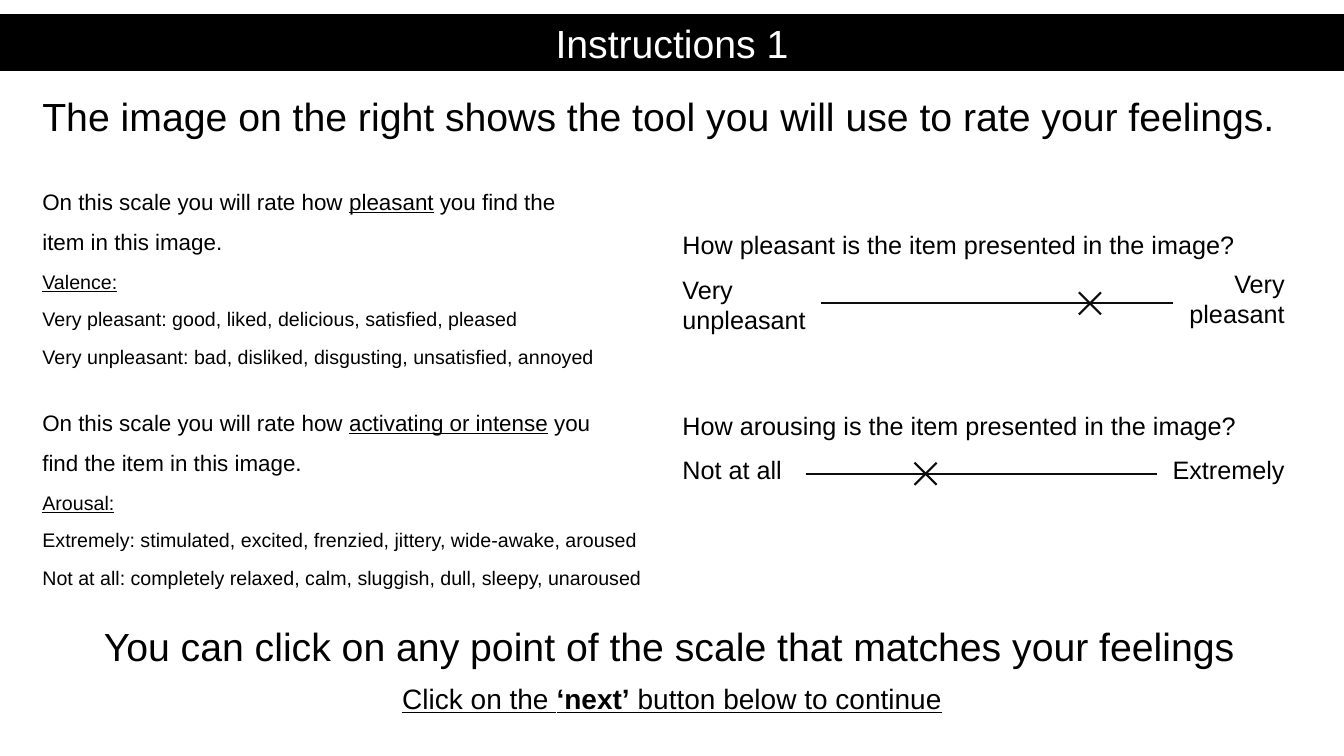
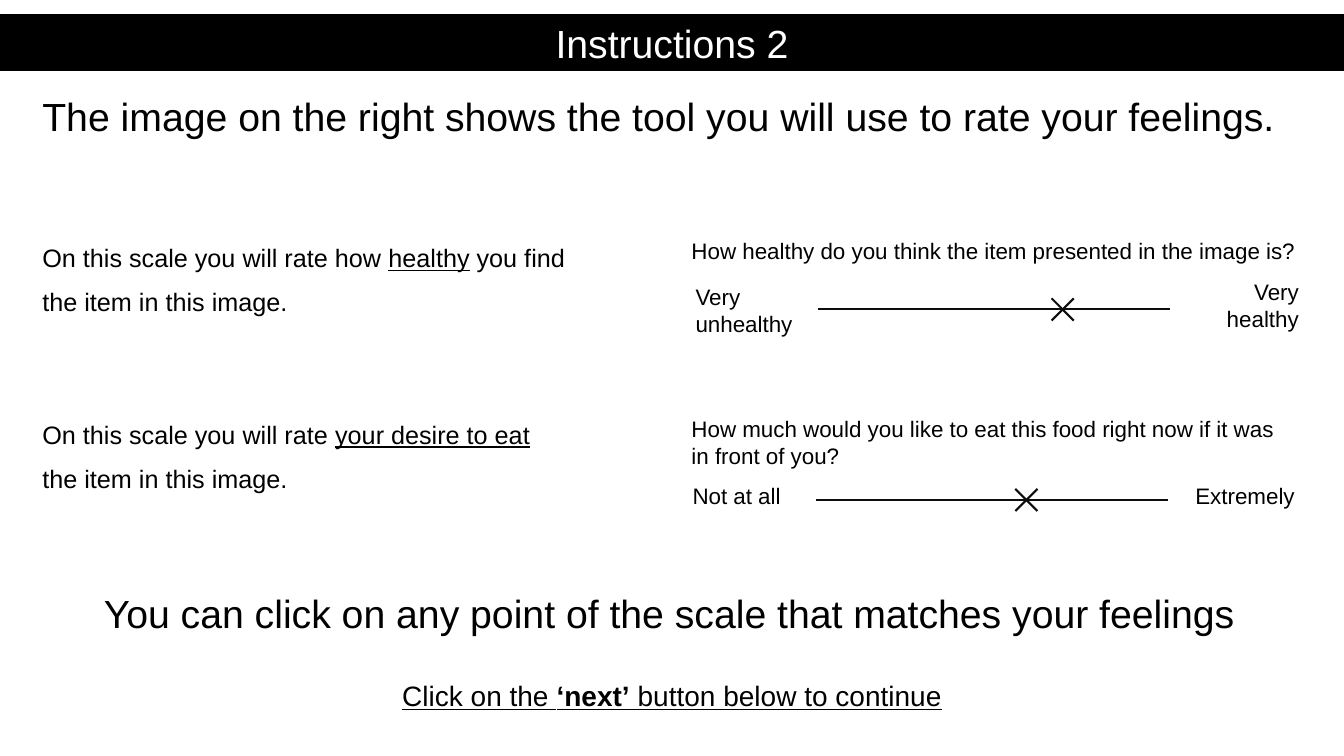
from pptx import Presentation
from pptx.dml.color import RGBColor
from pptx.enum.shapes import MSO_CONNECTOR
from pptx.enum.text import MSO_ANCHOR, MSO_AUTO_SIZE, PP_ALIGN
from pptx.oxml.ns import qn
from pptx.util import Inches, Pt

STRAIGHT = MSO_CONNECTOR.STRAIGHT
TOP, MIDDLE = MSO_ANCHOR.TOP, MSO_ANCHOR.MIDDLE
NO_AUTOFIT = MSO_AUTO_SIZE.NONE
LEFT, CENTER, RIGHT = PP_ALIGN.LEFT, PP_ALIGN.CENTER, PP_ALIGN.RIGHT

FONT = "Arial"
BLACK, WHITE, LINE_COLOR = "000000", "FFFFFF", "0D0D0D"
SLIDE_WIDTH, SLIDE_HEIGHT = 13.33, 7.5
SCALE_LENGTH, CROSS_REACH = 3.49, 0.11

HEADING = "The image on the right shows the tool you will use to rate your feelings."
HINT = "You can click on any point of the scale that matches your feelings"
NEXT_STEP = [("Click on the ", "u"), ("‘next’", "ub"), (" button below to continue", "u")]

SLIDES = [
    {
        "title": "Instructions 1",
        "body_height": 5.06,
        "body": [
            (16, 34, [("On this scale you will rate how ", ""), ("pleasant", "u"), (" you find the", "")]),
            (16, 10, [("item in this image.", "")]),
            (14, 10, [("Valence:", "u")]),
            (14, 10, [("Very pleasant: good, liked, delicious, satisfied, pleased", "")]),
            (14, 10, [("Very unpleasant: bad, disliked, disgusting, unsatisfied, annoyed", "")]),
            (16, 29, [("On this scale you will rate how ", ""), ("activating or intense", "u"), (" you", "")]),
            (16, 10, [("find the item in this image.", "")]),
            (14, 10, [("Arousal:", "u")]),
            (14, 10, [("Extremely: stimulated, excited, frenzied, jittery, wide-awake, aroused", "")]),
            (14, 10, [("Not at all: completely relaxed, calm, sluggish, dull, sleepy, unaroused", "")]),
        ],
        "scale_size": 18,
        "scales": [
            {
                "question": ("How pleasant is the item presented in the image?", (6.67, 2.23, 6.11, 0.4)),
                "low": (["Very unpleasant"], (6.67, 2.67, 1.68, 0.71)),
                "high": (["Very pleasant"], (11.65, 2.61, 1.19, 0.71)),
                "start": (8.14, 3.01),
                "cross": 10.81,
            },
            {
                "question": ("How arousing is the item presented in the image?", (6.67, 4.02, 6.11, 0.4)),
                "low": (["Not at all"], (6.67, 4.46, 1.21, 0.4)),
                "high": (["Extremely"], (11.47, 4.46, 1.37, 0.4)),
                "start": (7.99, 4.7),
                "cross": 9.18,
            },
        ],
        "hint_top": 6.18,
        "next_top": 6.75,
    },
    {
        "title": "Instructions 2",
        "body_height": 4.4,
        "body": [
            (18, 73, [("On this scale you will rate how ", ""), ("healthy", "u"), (" you find", "")]),
            (18, 10, [("the item in this image.", "")]),
            (18, 73, [("On this scale you will rate ", ""), ("your desire to eat", "u")]),
            (18, 10, [("the item in this image.", "")]),
        ],
        "scale_size": 16,
        "scales": [
            {
                "question": ("How healthy do you think the item presented in the image is?", (6.76, 2.3, 6.22, 0.37)),
                "low": (["Very", "unhealthy"], (6.8, 2.76, 1.68, 0.64)),
                "high": (["Very healthy"], (11.79, 2.71, 1.19, 0.64)),
                "start": (8.11, 3.07),
                "cross": 10.54,
            },
            {
                "question": (
                    "How much would you like to eat this food right now if it was in front of you?",
                    (6.76, 4.07, 6.11, 0.64),
                ),
                "low": (["Not at all"], (6.77, 4.73, 1.21, 0.37)),
                "high": (["Extremely"], (11.57, 4.73, 1.37, 0.37)),
                "start": (8.09, 4.96),
                "cross": 10.18,
            },
        ],
        "hint_top": 5.85,
        "next_top": 6.72,
    },
]


def color(value):
    return RGBColor.from_string(value)


def place(shape, box):
    shape.left, shape.top, shape.width, shape.height = map(Inches, box)


def prepare_frame(shape, anchor=TOP):
    frame = shape.text_frame
    frame.word_wrap = True
    frame.auto_size = NO_AUTOFIT
    frame.vertical_anchor = anchor
    return frame


def fill_paragraph(paragraph, runs, size, align=LEFT, before=0, spacing=1.0, text_color=BLACK):
    paragraph.alignment = align
    paragraph.space_before = Pt(before)
    paragraph.line_spacing = spacing
    for text, style in runs:
        run = paragraph.add_run()
        run.text = text
        font = run.font
        font.name, font.size = FONT, Pt(size)
        font.bold, font.underline = "b" in style, "u" in style
        font.color.rgb = color(text_color)


def add_text(slide, paragraphs, box, size, align=LEFT, spacing=1.0):
    frame = prepare_frame(slide.shapes.add_textbox(*map(Inches, box)))
    for index, runs in enumerate(paragraphs):
        paragraph = frame.add_paragraph() if index else frame.paragraphs[0]
        fill_paragraph(paragraph, runs, size, align, spacing=spacing)


def add_line(slide, *ends):
    connector = slide.shapes.add_connector(STRAIGHT, *map(Inches, ends))
    connector.line.color.rgb = color(LINE_COLOR)
    connector.line.width = Pt(1.5)
    properties = connector._element.spPr
    properties.append(properties.makeelement(qn("a:effectLst"), {}))


def add_title(slide, text):
    title = slide.shapes.title
    place(title, (0, 0.15, SLIDE_WIDTH, 0.55))
    title.fill.solid()
    title.fill.fore_color.rgb = color(BLACK)
    title.line.color.rgb = color(BLACK)
    title.line.width = Pt(1)
    frame = prepare_frame(title, MIDDLE)
    fill_paragraph(frame.paragraphs[0], [(text, "")], 28, CENTER, text_color=WHITE)


def add_body(slide, content):
    body = slide.placeholders[1]
    place(body, (0.32, 0.92, 12.7, content["body_height"]))
    frame = prepare_frame(body)
    for index, (size, before, runs) in enumerate([(28, 0, [(HEADING, "")])] + content["body"]):
        paragraph = frame.add_paragraph() if index else frame.paragraphs[0]
        properties = paragraph._p.get_or_add_pPr()
        properties.set("marL", "0")
        properties.set("indent", "0")
        properties.append(properties.makeelement(qn("a:buNone"), {}))
        fill_paragraph(paragraph, runs, size, before=before, spacing=1.0 if index else 0.9)


def add_scale(slide, scale, size):
    question, question_box = scale["question"]
    add_text(slide, [[(question, "")]], question_box, size)
    for end, align in (("low", LEFT), ("high", RIGHT)):
        lines, box = scale[end]
        add_text(slide, [[(line, "")] for line in lines], box, size, align)
    left, middle = scale["start"]
    add_line(slide, left, middle, left + SCALE_LENGTH, middle)
    for reach in (CROSS_REACH, -CROSS_REACH):
        add_line(slide, scale["cross"] - CROSS_REACH, middle - reach,
                 scale["cross"] + CROSS_REACH, middle + reach)


def main():
    presentation = Presentation()
    presentation.slide_width = Inches(SLIDE_WIDTH)
    presentation.slide_height = Inches(SLIDE_HEIGHT)
    for content in SLIDES:
        slide = presentation.slides.add_slide(presentation.slide_layouts[1])
        add_title(slide, content["title"])
        add_body(slide, content)
        for scale in content["scales"]:
            add_scale(slide, scale, content["scale_size"])
        add_text(slide, [[(HINT, "")]], (0.32, content["hint_top"], 12.63, 0.64), 28, CENTER, 0.9)
        add_text(slide, [NEXT_STEP], (0.57, content["next_top"], 12.19, 0.64), 20, CENTER, 0.9)
    presentation.save("out.pptx")


if __name__ == "__main__":
    main()
